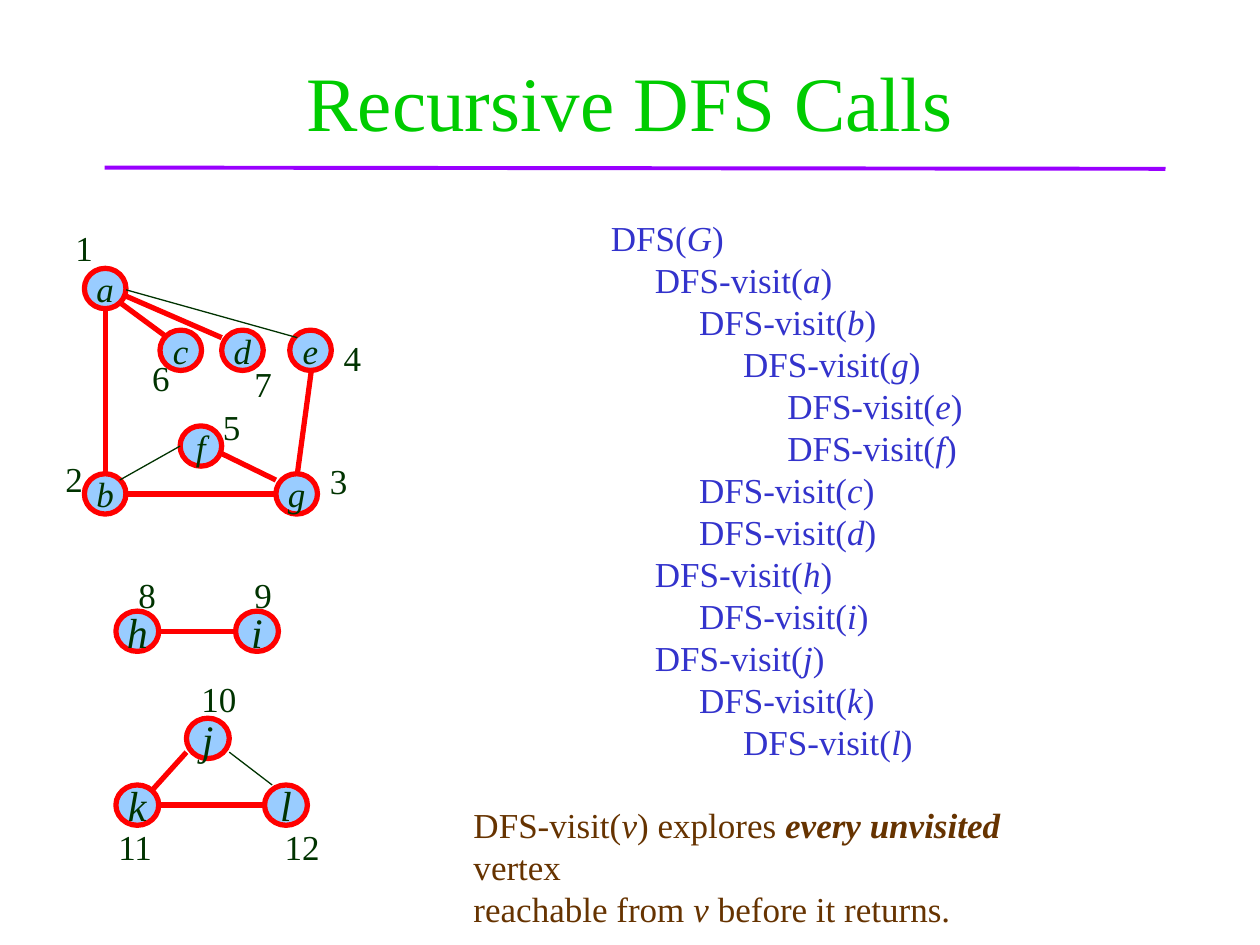
"""Build the slide that traces recursive depth-first search calls."""
from lxml.etree import SubElement
from pptx import Presentation
from pptx.dml.color import RGBColor
from pptx.enum.shapes import MSO_CONNECTOR, MSO_SHAPE
from pptx.enum.text import MSO_ANCHOR, PP_ALIGN
from pptx.oxml.ns import qn
from pptx.util import Inches, Pt

FONT = "Times New Roman"
COLORS = {"title": "00CC00", "rule": "9900FF", "node": "99CCFF", "tree": "FF0000",
          "ink": "003300", "calls": "3333CC", "note": "663300"}
TITLE = "Recursive DFS Calls"
TOP_NODES = [("a", 0.67, 2.13), ("g", 2.19, 3.76), ("f", 1.43, 3.38), ("b", 0.67, 3.76),
             ("c", 1.27, 2.62), ("e", 2.3, 2.62), ("d", 1.76, 2.62)]
LOW_NODES = [("l", 2.1, 6.23), ("j", 1.48, 5.7), ("k", 0.92, 6.23),
             ("i", 1.87, 4.85), ("h", 0.92, 4.85)]
TREE_EDGES = [(0.95, 2.4, 1.33, 2.68), (1, 2.35, 1.76, 2.68), (0.84, 2.46, 0.84, 3.76),
              (1, 3.92, 2.19, 3.92), (1.76, 3.6, 2.19, 3.81), (2.36, 3.76, 2.47, 2.95),
              (1.26, 5.01, 1.87, 5.01), (1.48, 5.97, 1.2, 6.28), (1.26, 6.39, 2.1, 6.39)]
BACK_EDGES = [(0.95, 3.81, 1.43, 3.54), (1, 2.3, 2.36, 2.68), (1.82, 5.97, 2.16, 6.23)]
ORDER = [(0.5, 1.75), (0.42, 3.58), (2.52, 3.6), (2.63, 2.62), (1.67, 3.17), (1.11, 2.78),
         (1.92, 2.83), (1, 4.5), (1.92, 4.5), (1.5, 5.33), (0.84, 6.5), (2.16, 6.5)]
CALLS = [(1, "a"), (2, "b"), (3, "g"), (4, "e"), (4, "f"), (2, "c"), (2, "d"),
         (1, "h"), (2, "i"), (1, "j"), (2, "k"), (3, "l")]
NOTE = [[("DFS-visit(", ""), ("v", "i"), (") explores ", ""),
         ("every unvisited", "bi"), (" vertex", "")],
        [("reachable from ", ""), ("v", "i"), (" before it returns.", "")]]
STEP = 0.35


def color(name):
    return RGBColor.from_string(COLORS[name])


def write(frame, lines, size, tint, align=PP_ALIGN.LEFT):
    for row, line in enumerate(lines):
        para = frame.paragraphs[0] if row == 0 else frame.add_paragraph()
        para.alignment = align
        for text, style in line:
            run = para.add_run()
            run.text = text
            font = run.font
            font.name, font.size = FONT, Pt(size)
            font.bold, font.italic = "b" in style, "i" in style
            font.color.rgb = color(tint)


def add_text(slide, box, lines, size, tint, align=PP_ALIGN.LEFT, wrap=False):
    frame = slide.shapes.add_textbox(*map(Inches, box)).text_frame
    frame.word_wrap = wrap
    write(frame, lines, size, tint, align)
    return frame


def add_node(slide, name, left, top, width, size):
    node = slide.shapes.add_shape(
        MSO_SHAPE.OVAL, *map(Inches, (left, top, width, 0.32)))
    node.shadow.inherit = False
    node.fill.solid()
    node.fill.fore_color.rgb = color("node")
    node.line.color.rgb = color("tree")
    node.line.width = Pt(3)
    frame = node.text_frame
    frame.word_wrap = False
    frame.vertical_anchor = MSO_ANCHOR.MIDDLE
    write(frame, [[(name, "i")]], size, "ink", PP_ALIGN.CENTER)


def add_line(slide, ends, tint, width):
    line = slide.shapes.add_connector(MSO_CONNECTOR.STRAIGHT, *map(Inches, ends))
    line.line.color.rgb = color(tint)
    line.line.width = Pt(width)
    SubElement(line._element.spPr, qn("a:effectLst"))


def main():
    deck = Presentation()
    deck.slide_width, deck.slide_height = Inches(10), Inches(7.5)
    slide = deck.slides.add_slide(deck.slide_layouts[6])

    title = add_text(slide, (0.75, 0.17, 8.5, 1.25), [[(TITLE, "")]], 44, "title",
                     PP_ALIGN.CENTER, True)
    title.vertical_anchor = MSO_ANCHOR.MIDDLE
    add_line(slide, (0.83, 1.33, 9.25, 1.34), "rule", 2.25)

    for nodes, width, size in ((TOP_NODES, 0.33, 20), (LOW_NODES, 0.34, 24)):
        for name, left, top in nodes:
            add_node(slide, name, left, top, width, size)
    for edges, tint, width in ((TREE_EDGES, "tree", 3), (BACK_EDGES, "ink", 0.75)):
        for ends in edges:
            add_line(slide, ends, tint, width)
    for number, (left, top) in enumerate(ORDER, 1):
        width = 0.34 if number < 10 else 0.48
        add_text(slide, (left, top, width, 0.44), [[(str(number), "")]], 20, "ink")

    trace = [(0, "DFS(", "G")] + [(depth, "DFS-visit(", name) for depth, name in CALLS]
    lines = [[(call, ""), (name, "i"), (")", "")] for depth, call, name in trace]
    frame = add_text(slide, (4.75, 1.67, 3.1, 4.44), lines, 20, "calls", wrap=True)
    for para, (depth, call, name) in zip(frame.paragraphs, trace):
        para._p.get_or_add_pPr().set("marL", str(Inches(STEP * depth)))

    add_text(slide, (3.66, 6.33, 5.14, 0.77), NOTE, 20, "note")
    deck.save("out.pptx")


if __name__ == "__main__":
    main()
